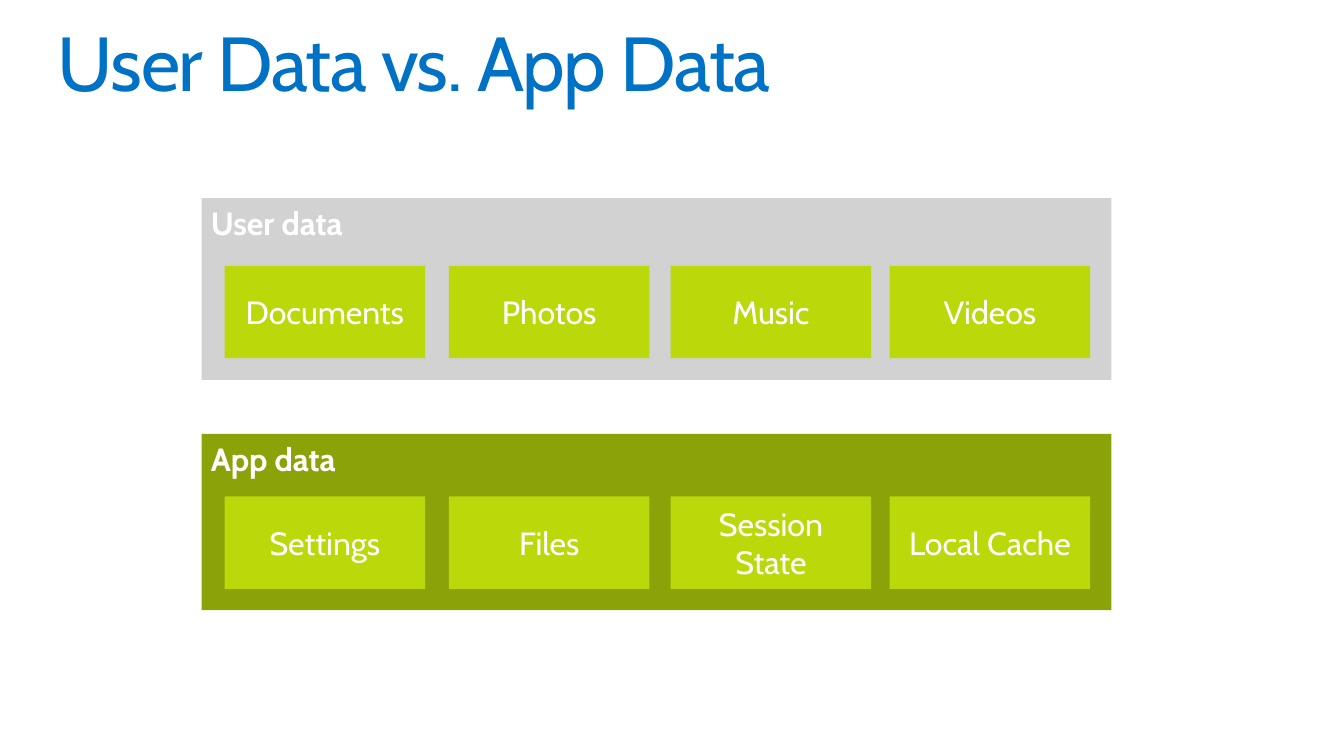
from dataclasses import dataclass

import pptx
import pptx.dml.color
import pptx.enum.shapes
import pptx.enum.text
import pptx.util

Pt = pptx.util.Pt
ALIGN = pptx.enum.text.PP_ALIGN
ANCHOR = pptx.enum.text.MSO_ANCHOR

FONT = "Cabin"
WHITE, BLUE, LIME = "FFFFFF", "0072C6", "BAD80A"
PANEL_LEFT, PANEL_WIDTH = 108, 487.5
TILE_LEFTS = (120.3, 240.5, 359.3, 476.6)
TILE_WIDTH, TILE_HEIGHT = 107.5, 49.5
FRAME_FORMAT = {
    "word_wrap": True,
    "margin_left": Pt(5),
    "margin_right": Pt(5),
    "margin_top": Pt(3),
    "margin_bottom": Pt(3),
}
TITLE_FORMAT = {
    "word_wrap": True,
    "auto_size": pptx.enum.text.MSO_AUTO_SIZE.NONE,
    "vertical_anchor": ANCHOR.TOP,
    "margin_left": 0,
    "margin_right": 0,
    "margin_top": 0,
    "margin_bottom": 0,
}


@dataclass(frozen=True)
class Box:
    left: float
    top: float
    width: float
    height: float


@dataclass(frozen=True)
class Panel:
    heading: str
    top: float
    height: float
    fill: str
    tile_top: float
    tiles: tuple[str, ...]


PANELS = (
    Panel("User data", 106.2, 97.4, "D2D2D2", 142.4,
          ("Documents", "Photos", "Music", "Videos")),
    Panel("App data", 232.4, 94.5, "8BA208", 266,
          ("Settings", "Files", "Session State", "Local Cache")),
)


def color(value: str) -> pptx.dml.color.RGBColor:
    return pptx.dml.color.RGBColor.from_string(value)


def apply_format(target, values: dict) -> None:
    for name, value in values.items():
        setattr(target, name, value)


def write_text(paragraph, text: str, size: float, fill: str, bold: bool = False):
    run = paragraph.add_run()
    run.text = text
    apply_format(run.font, {"name": FONT, "size": Pt(size), "bold": bold})
    run.font.color.rgb = color(fill)
    return run


def add_rectangle(slide, box: Box, fill: str, text: str, align, anchor,
                  bold: bool = False) -> None:
    shape = slide.shapes.add_shape(
        pptx.enum.shapes.MSO_SHAPE.RECTANGLE,
        Pt(box.left), Pt(box.top), Pt(box.width), Pt(box.height))
    shape.shadow.inherit = False
    shape.fill.solid()
    shape.fill.fore_color.rgb = color(fill)
    shape.line.fill.background()
    apply_format(shape.text_frame, {**FRAME_FORMAT, "vertical_anchor": anchor})
    paragraph = shape.text_frame.paragraphs[0]
    paragraph.alignment = align
    write_text(paragraph, text, 17.2, WHITE, bold)


def add_title(slide, text: str) -> None:
    title = slide.shapes.title
    apply_format(title, {"left": Pt(31), "top": Pt(13.7),
                         "width": Pt(658), "height": Pt(44.6)})
    apply_format(title.text_frame, TITLE_FORMAT)
    paragraph = title.text_frame.paragraphs[0]
    apply_format(paragraph, {"alignment": ALIGN.LEFT, "line_spacing": 0.9})
    run = write_text(paragraph, text, 41, BLUE)
    run.font._element.set("spc", "-80")  # tighter letter spacing


def add_panel(slide, panel: Panel) -> None:
    add_rectangle(slide, Box(PANEL_LEFT, panel.top, PANEL_WIDTH, panel.height),
                  panel.fill, panel.heading, ALIGN.LEFT, ANCHOR.TOP, bold=True)
    for left, label in zip(TILE_LEFTS, panel.tiles):
        add_rectangle(slide, Box(left, panel.tile_top, TILE_WIDTH, TILE_HEIGHT),
                      LIME, label, ALIGN.CENTER, ANCHOR.MIDDLE)


def main() -> None:
    presentation = pptx.Presentation()
    presentation.slide_width, presentation.slide_height = Pt(720), Pt(405)

    # Title
    slide = presentation.slides.add_slide(presentation.slide_layouts[5])
    add_title(slide, "User Data vs. App Data")

    # Panels with their tiles
    for panel in PANELS:
        add_panel(slide, panel)

    presentation.save("out.pptx")


if __name__ == "__main__":
    main()
